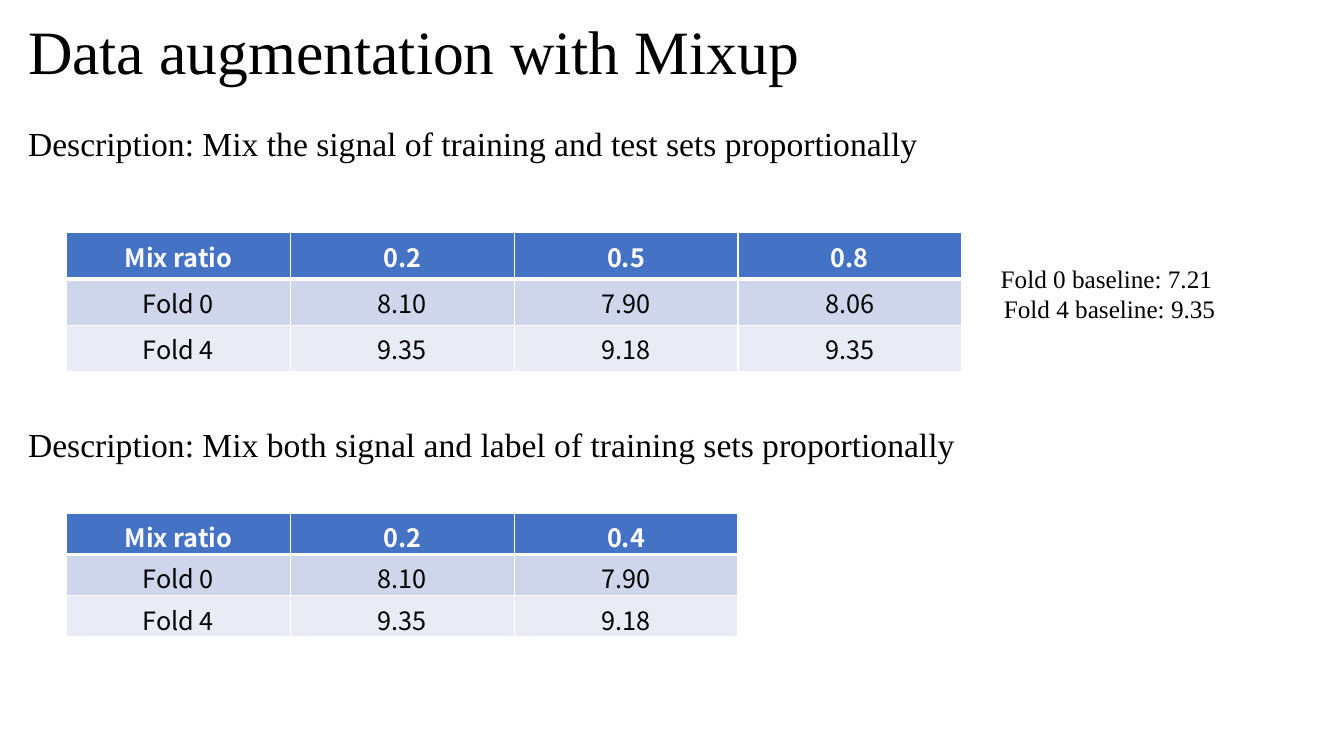
from pptx import Presentation
from pptx.dml.color import RGBColor
from pptx.enum.text import MSO_ANCHOR, MSO_AUTO_SIZE, PP_ALIGN
from pptx.oxml import parse_xml
from pptx.oxml.ns import nsdecls
from pptx.util import Inches, Pt

SERIF, SANS = "Times New Roman", "Noto Sans CJK SC"
BLACK, WHITE = "000000", "FFFFFF"
ROW_FILLS = ["4472C4", "CFD5EA", "E9EBF5"]
TABLE_LEFT, COLUMN_WIDTH = 0.66, 2.22

TEXTS = [
    (["Data augmentation with Mixup"], (0.18, 0.08, 13.13, 0.84), 44, PP_ALIGN.LEFT),
    (["Description: Mix the signal of training and test sets proportionally"],
     (0.18, 1.17, 12.88, 0.5), 24, PP_ALIGN.LEFT),
    (["Fold 0 baseline: 7.21 ", "Fold 4 baseline: 9.35"],
     (9.54, 2.56, 2.93, 0.71), 18, PP_ALIGN.CENTER),
    (["Description: Mix both signal and label of training sets proportionally"],
     (0.18, 4.16, 12.88, 0.5), 24, PP_ALIGN.LEFT),
]
TABLES = [
    (2.31, 0.46, [
        ["Mix ratio", "0.2", "0.5", "0.8"],
        ["Fold 0", "8.10", "7.90", "8.06"],
        ["Fold 4", "9.35", "9.18", "9.35"],
    ]),
    (5.09, 0.41, [
        ["Mix ratio", "0.2", "0.4"],
        ["Fold 0", "8.10", "7.90"],
        ["Fold 4", "9.35", "9.18"],
    ]),
]


def color(value):
    return RGBColor.from_string(value)


def add_span(para, text, size, font, shade, bold=False):
    span = para.add_run()
    span.text = text
    span.font.size = Pt(size)
    span.font.name = font
    span.font.bold = bold
    span.font.color.rgb = color(shade)


def add_text(page, lines, place, size, align):
    box = page.shapes.add_textbox(*map(Inches, place))
    frame = box.text_frame
    frame.word_wrap = True
    frame.auto_size = MSO_AUTO_SIZE.SHAPE_TO_FIT_TEXT
    for index, line in enumerate(lines):
        para = frame.add_paragraph() if index else frame.paragraphs[0]
        para.alignment = align
        add_span(para, line, size, SERIF, BLACK)


def set_borders(cell, row):
    widths = {"L": 1, "R": 1, "T": 3 if row == 1 else 1, "B": 3 if row == 0 else 1}
    properties = cell._tc.get_or_add_tcPr()
    for index, (side, width) in enumerate(widths.items()):
        properties.insert(index, parse_xml(
            f'<a:ln{side} {nsdecls("a")} w="{Pt(width)}"><a:solidFill>'
            f'<a:srgbClr val="{WHITE}"/></a:solidFill></a:ln{side}>'))


def add_results(page, top, row_height, rows):
    count = len(rows[0])
    table = page.shapes.add_table(
        len(rows), count, Inches(TABLE_LEFT), Inches(top),
        Inches(COLUMN_WIDTH * count), Inches(row_height * len(rows))).table
    for column in table.columns:
        column.width = Inches(COLUMN_WIDTH)
    for r, values in enumerate(rows):
        table.rows[r].height = Inches(row_height)
        for c, value in enumerate(values):
            cell = table.cell(r, c)
            cell.vertical_anchor = MSO_ANCHOR.MIDDLE
            cell.fill.solid()
            cell.fill.fore_color.rgb = color(ROW_FILLS[r])
            set_borders(cell, r)
            para = cell.text_frame.paragraphs[0]
            para.alignment = PP_ALIGN.CENTER
            add_span(para, value, 18, SANS, BLACK if r else WHITE, r == 0)


def main():
    deck = Presentation()
    deck.slide_width, deck.slide_height = Inches(13.33), Inches(7.5)
    page = deck.slides.add_slide(deck.slide_layouts[6])
    for text in TEXTS:
        add_text(page, *text)
    for results in TABLES:
        add_results(page, *results)
    deck.save("out.pptx")


if __name__ == "__main__":
    main()
